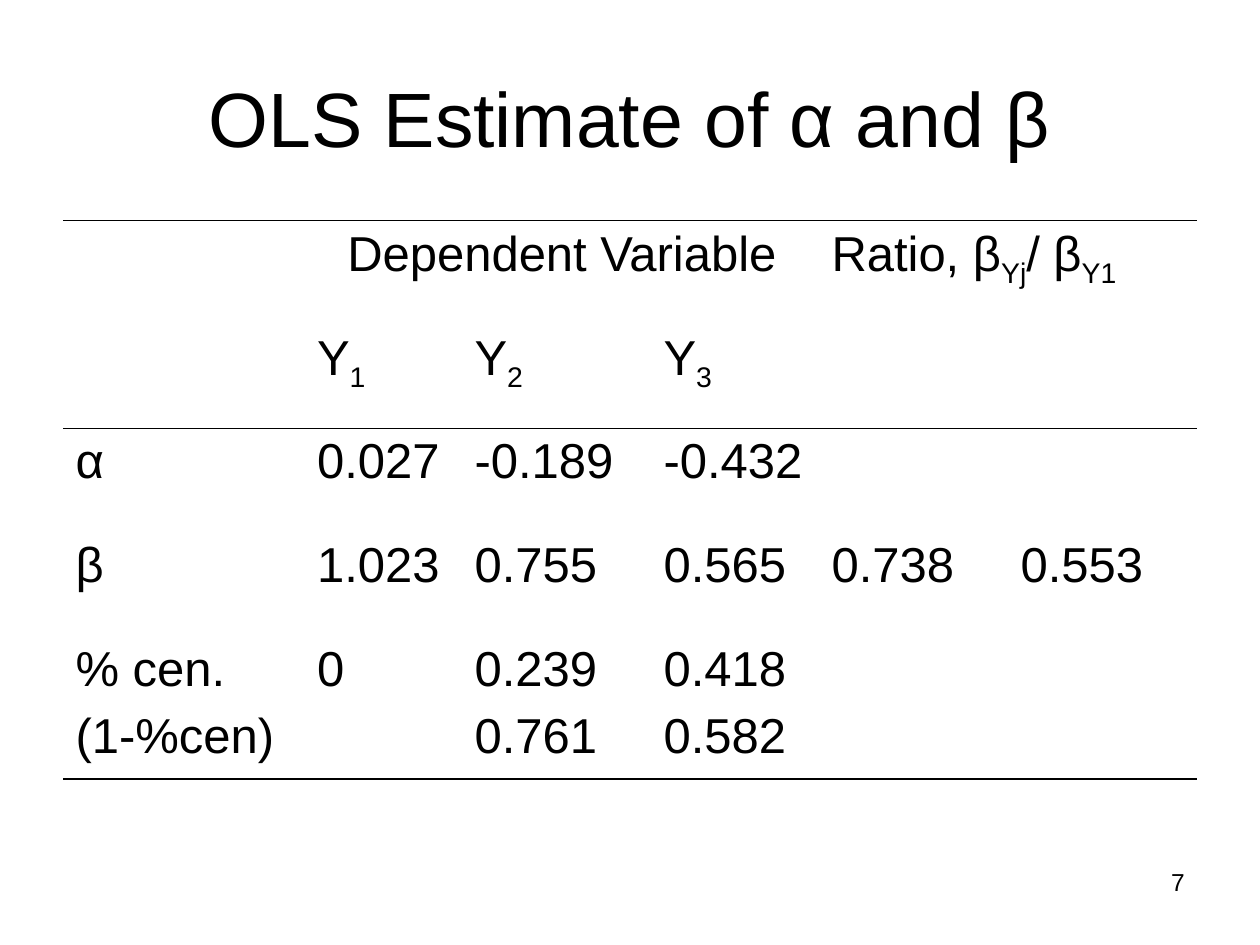
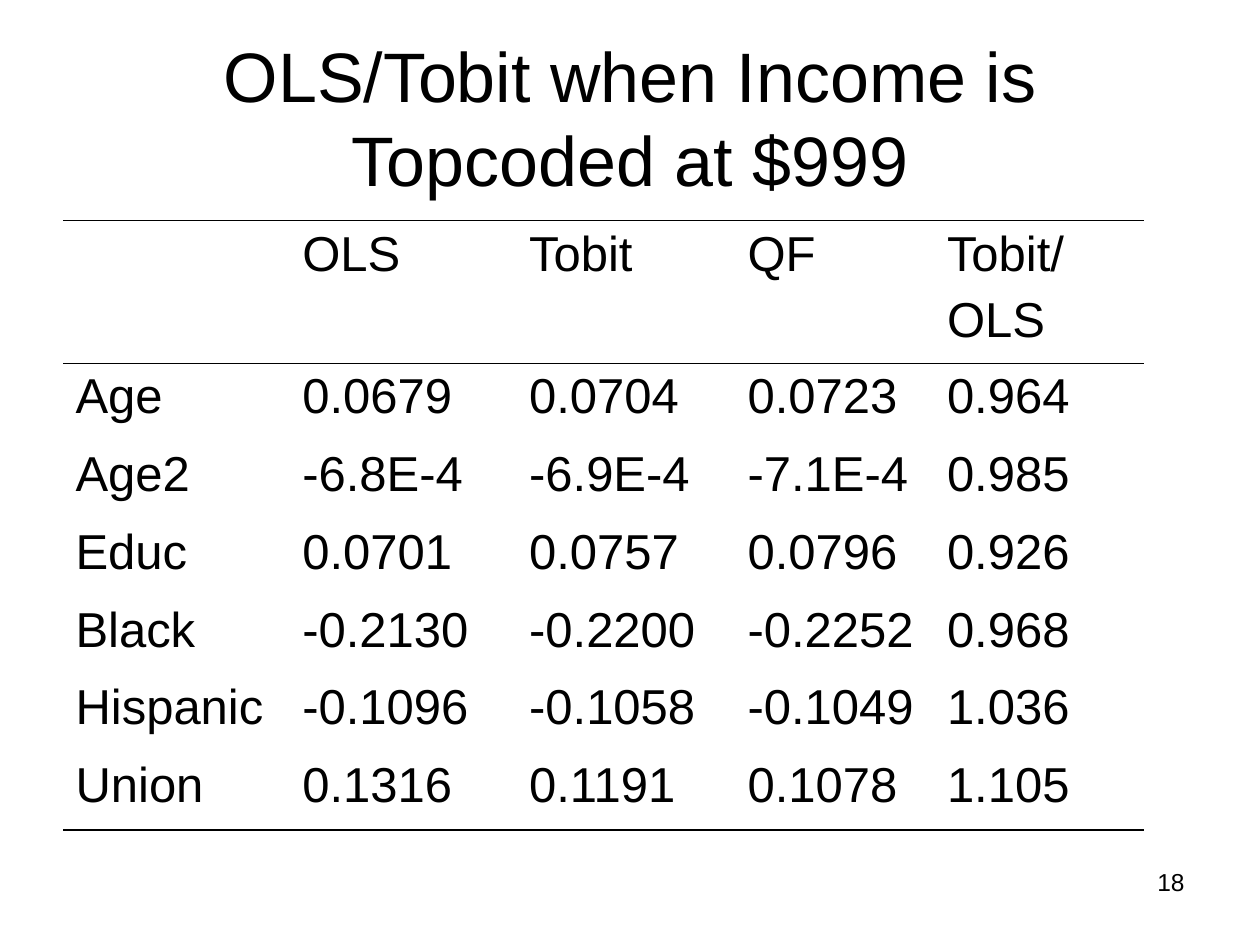
from lxml import etree
from pptx import Presentation
from pptx.dml.color import RGBColor
from pptx.enum.text import MSO_ANCHOR, PP_ALIGN
from pptx.oxml.ns import qn
from pptx.util import Pt

LEFT, CENTER, RIGHT = PP_ALIGN.LEFT, PP_ALIGN.CENTER, PP_ALIGN.RIGHT
TOP, MIDDLE = MSO_ANCHOR.TOP, MSO_ANCHOR.MIDDLE

# Shared style
BLACK = RGBColor(0x00, 0x00, 0x00)
FONT = "Arial"
BODY_SIZE, NUMBER_SIZE = 28, 14
OUTER_RULE, INNER_RULE = 1.08, 0.45
TABLE_LEFT, TABLE_TOP = 36, 126
SUBSCRIPT = "~"  # encloses subscript text

# Slide contents
ESTIMATES = [
    ["", "Dependent Variable", "", "", "Ratio, β~Yj~/ β~Y1~", ""],
    ["", "Y~1~", "Y~2~", "Y~3~", "", ""],
    ["α", "0.027", "-0.189", "-0.432", "", ""],
    ["β", "1.023", "0.755", "0.565", "0.738", "0.553"],
    ["% cen.\n(1-%cen)", "0", "0.239\n0.761", "0.418\n0.582", "", ""],
]
TOPCODED = [
    ["", "OLS", "Tobit", "QF", "Tobit/\nOLS"],
    ["Age", "0.0679", "0.0704", "0.0723", "0.964"],
    ["Age2", "-6.8E-4", "-6.9E-4", "-7.1E-4", "0.985"],
    ["Educ", "0.0701", "0.0757", "0.0796", "0.926"],
    ["Black", "-0.2130", "-0.2200", "-0.2252", "0.968"],
    ["Hispanic", "-0.1096", "-0.1058", "-0.1049", "1.036"],
    ["Union", "0.1316", "0.1191", "0.1078", "1.105"],
]


def style_run(run, size):
    run.font.name = FONT
    run.font.size = Pt(size)
    run.font.color.rgb = BLACK


def add_text(slide, text, box, size, align, anchor=TOP):
    frame = slide.shapes.add_textbox(*map(Pt, box)).text_frame
    frame.word_wrap = True
    frame.vertical_anchor = anchor
    frame.text = text
    frame.paragraphs[0].alignment = align
    style_run(frame.paragraphs[0].runs[0], size)


def add_title(slide, text, size):
    add_text(slide, text, (36, 21.6, 648, 90), size, CENTER, MIDDLE)


def add_page_number(slide, number):
    add_text(slide, str(number), (516, 492, 168, 37.5), NUMBER_SIZE, RIGHT)


def fill_cell(cell, text, align):
    """Write the lines of a cell, lowering the subscript parts."""
    cell.text_frame.text = text.replace(SUBSCRIPT, "")
    for paragraph, line in zip(cell.text_frame.paragraphs, text.split("\n")):
        paragraph.text = ""
        paragraph.alignment = align
        paragraph.space_before = Pt(7)
        for index, part in enumerate(line.split(SUBSCRIPT)):
            if part:
                run = paragraph.add_run()
                run.text = part
                style_run(run, BODY_SIZE)
                if index % 2:
                    run.font._element.set("baseline", "-25000")


def set_borders(cell, top, bottom):
    """Draw the given rules and clear the other sides."""
    properties = cell._tc.get_or_add_tcPr()
    for side, width in (("L", 0), ("R", 0), ("T", top), ("B", bottom)):
        line = etree.SubElement(properties, qn(f"a:ln{side}"), w=str(Pt(width)))
        if width:
            fill = etree.SubElement(line, qn("a:solidFill"))
            etree.SubElement(fill, qn("a:srgbClr"), val=str(BLACK))
        else:
            etree.SubElement(line, qn("a:noFill"))


def add_ruled_table(slide, rows, widths, heights, header_rows, spans=()):
    """Add a table ruled at the top, below its header and at the bottom.

    Each span is (row, first column, last column, alignment).
    """
    table = slide.shapes.add_table(
        len(rows), len(widths), Pt(TABLE_LEFT), Pt(TABLE_TOP),
        Pt(sum(widths)), Pt(sum(heights))).table
    table.first_row = table.horz_banding = False
    for column, width in zip(table.columns, widths):
        column.width = Pt(width)
    for row, height in zip(table.rows, heights):
        row.height = Pt(height)

    aligns = {}
    for row, first, last, align in spans:
        table.cell(row, first).merge(table.cell(row, last))
        aligns[row, first] = align

    rules = {0: OUTER_RULE, header_rows: INNER_RULE, len(rows): OUTER_RULE}
    for r, row in enumerate(rows):
        for c, text in enumerate(row):
            cell = table.cell(r, c)
            set_borders(cell, rules.get(r, 0), rules.get(r + 1, 0))
            cell.fill.background()
            if text:
                fill_cell(cell, text, aligns.get((r, c), LEFT))


def main():
    deck = Presentation()
    deck.slide_width, deck.slide_height = Pt(720), Pt(540)
    blank = deck.slide_layouts[6]

    # OLS estimates
    estimates = deck.slides.add_slide(blank)
    add_page_number(estimates, 7)
    add_title(estimates, "OLS Estimate of α and β", 44)
    add_ruled_table(estimates, ESTIMATES, [138, 90, 108, 96, 108, 108],
                    [59.4] * 4 + [81.4], header_rows=2,
                    spans=[(0, 1, 3, CENTER), (0, 4, 5, LEFT)])

    # Topcoded income
    topcoded = deck.slides.add_slide(blank)
    add_page_number(topcoded, 18)
    add_title(topcoded, "OLS/Tobit when Income is Topcoded at $999", 40)
    add_ruled_table(topcoded, TOPCODED, [129.6, 129.6, 124.8, 114, 120],
                    [81.4] + [44.5] * 6, header_rows=1)

    deck.save("out.pptx")


if __name__ == "__main__":
    main()
